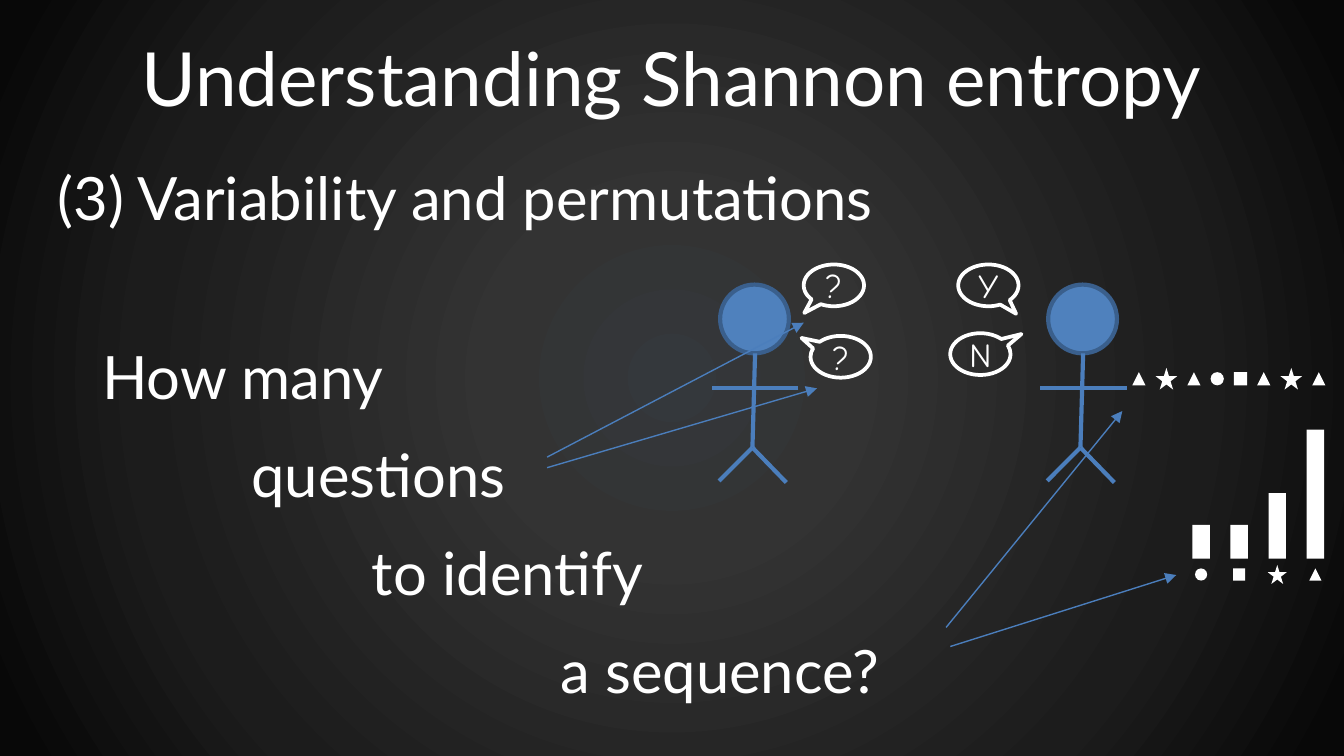
from dataclasses import dataclass

from lxml import etree
from pptx import Presentation
from pptx import util as u
from pptx.dml.color import RGBColor
from pptx.enum import shapes, text
from pptx.oxml.ns import qn

Kind = shapes.MSO_SHAPE


@dataclass
class Theme:
    white: str = "FFFFFF"
    black: str = "000000"
    blue: str = "4F81BD"
    edge: str = "3A5F8C"
    line: str = "4B7EBC"
    glow: tuple = ((0, "34383C"), (23, "333333"), (69, "1C1C1C"), (97, "080808"))
    font: str = "Lato"
    hand: str = "Comic Neue"
    title: float = 40
    body: float = 32
    speech: float = 18
    thin: float = 0.75
    bubble: float = 2
    limb: float = 2.25


class Deck:
    def __init__(self, theme, wide, high):
        self.theme = theme
        self.prs = Presentation()
        self.prs.slide_width, self.prs.slide_height = u.Cm(wide), u.Cm(high)
        self.slide = self.prs.slides.add_slide(self.prs.slide_layouts[6])
        self.paint(self.slide.background.fill, theme.black)

    def paint(self, fill, color):
        if color is None:
            fill.background()
        else:
            fill.solid()
            fill.fore_color.rgb = RGBColor.from_string(color)

    def letter(self, frame, words, size, font, align):
        frame.text = words
        para = frame.paragraphs[0]
        para.alignment = align
        for run in para.runs:
            run.font.size = u.Pt(size)
            run.font.name = font
            run.font.color.rgb = RGBColor.from_string(self.theme.white)

    def label(self, words, x, y, w, h, size, align=text.PP_ALIGN.LEFT):
        box = self.slide.shapes.add_textbox(u.Cm(x), u.Cm(y), u.Cm(w), u.Cm(h))
        box.text_frame.word_wrap = True
        box.text_frame.auto_size = text.MSO_AUTO_SIZE.SHAPE_TO_FIT_TEXT
        self.letter(box.text_frame, words, size, self.theme.font, align)

    def shape(self, kind, x, y, w, h, fill=None, line=None, width=0):
        item = self.slide.shapes.add_shape(kind, u.Cm(x), u.Cm(y), u.Cm(w), u.Cm(h))
        item.shadow.inherit = False
        self.paint(item.fill, fill)
        self.paint(item.line.fill, line)
        if line:
            item.line.width = u.Pt(width)
        return item

    def glow(self, w, h):
        item = self.shape(Kind.RECTANGLE, 0, 0, w, h)
        item.fill.gradient()
        grad = item.element.spPr.find(qn("a:gradFill"))
        for child in list(grad):
            grad.remove(child)
        stops = etree.SubElement(grad, qn("a:gsLst"))
        for pos, color in self.theme.glow:
            stop = etree.SubElement(stops, qn("a:gs"), pos=str(pos * 1000))
            etree.SubElement(stop, qn("a:srgbClr"), val=color)
        way = etree.SubElement(grad, qn("a:path"), path="circle")
        etree.SubElement(way, qn("a:fillToRect"), l="50000", t="50000", r="50000", b="50000")

    def line(self, start, end, width, arrow=False):
        link = self.slide.shapes.add_connector(
            shapes.MSO_CONNECTOR.STRAIGHT, *(u.Cm(n) for n in (*start, *end)))
        self.paint(link.line.fill, self.theme.line)
        link.line.width = u.Pt(width)
        props = link.element.spPr
        if arrow:
            etree.SubElement(props.find(qn("a:ln")), qn("a:tailEnd"), type="triangle")
        etree.SubElement(props, qn("a:effectLst"))

    def person(self, x, y):
        t = self.theme
        self.shape(Kind.OVAL, x, y, 1.3, 1.3, t.blue, t.edge, t.limb)
        hip = (x + 0.61, y + 3.08)
        limbs = (
            ((x + 0.66, y + 1.3), hip),
            (hip, (x + 1.25, y + 3.74)),
            (hip, (x - 0.02, y + 3.71)),
            ((x + 1.48, y + 1.96), (x - 0.15, y + 1.96)),
        )
        for start, end in limbs:
            self.line(start, end, t.limb)

    def speech(self, words, x, y, tip):
        t = self.theme
        item = self.shape(Kind.OVAL_CALLOUT, x, y, 1.14, 0.79, None, t.white, t.bubble)
        item.adjustments[0], item.adjustments[1] = tip
        frame = item.text_frame
        frame.margin_left = frame.margin_right = frame.margin_top = frame.margin_bottom = 0
        frame.word_wrap = False
        frame.vertical_anchor = text.MSO_ANCHOR.MIDDLE
        self.letter(frame, words, t.speech, t.hand, text.PP_ALIGN.CENTER)

    def sign(self, kind, x, y, size):
        """Place a white symbol centred on x, y."""
        self.shape(kind, x - size / 2, y - size / 2, size, size, self.theme.white)


def main():
    wide, high = 25.4, 14.29
    t = Theme()
    deck = Deck(t, wide, high)
    dot, box, star, tri = Kind.OVAL, Kind.RECTANGLE, Kind.STAR_5_POINT, Kind.ISOSCELES_TRIANGLE

    # Backdrop and headings
    deck.glow(wide, high)
    deck.label("Understanding Shannon entropy", 0.58, 0.48, 24.21, 1.96, t.title,
               text.PP_ALIGN.CENTER)
    deck.label("(3) Variability and permutations", 0.84, 2.92, 19.41, 1.63, t.body)

    # Two people talking
    for x in (19.81, 13.61):
        deck.person(x, 5.38)
    for words, x, y, tip in (
        ("?", 15.19, 5, (-0.49, 0.66)),
        ("Y", 18.11, 5, (0.46, 0.68)),
        ("?", 15.32, 6.35, (-0.65, -0.45)),
        ("N", 17.96, 6.3, (0.68, -0.48)),
    ):
        deck.speech(words, x, y, tip)

    # Bars counting each symbol
    base, thick = 10.56, 0.33
    for i, (kind, tall) in enumerate(((dot, 0.64), (box, 0.64), (star, 1.24), (tri, 2.44))):
        x = 22.7 + 0.72 * i
        deck.sign(kind, x, base + 0.3, 0.36 if kind == star else 0.23)
        deck.shape(box, x - thick / 2, base - tall, thick, tall, t.white)

    # Question in descending steps
    steps = (("How many", 1.68, 6.81), ("questions", 4.5, 5.69),
             ("to identify", 6.78, 6.53), ("a sequence?", 10.34, 7.16))
    for i, (words, x, w) in enumerate(steps):
        deck.label(words, x, 6.3 + 1.85 * i, w, 1.63, t.body)

    # Arrows from the words to what they mean
    for start, end in (
        ((10.34, 8.84), (15.44, 7.34)),
        ((17.88, 11.86), (21.21, 7.77)),
        ((17.96, 12.22), (22.23, 10.87)),
        ((10.34, 8.64), (15.19, 6.1)),
    ):
        deck.line(start, end, t.thin, arrow=True)

    # Sequence of symbols, evenly spaced
    x, gap = 21.4, 0.19
    for kind in (tri, star, tri, dot, box, tri, star, tri):
        size = 0.41 if kind == star else 0.25
        deck.sign(kind, x + size / 2, 7.16, size)
        x += size + gap

    deck.prs.save("out.pptx")


if __name__ == "__main__":
    main()
